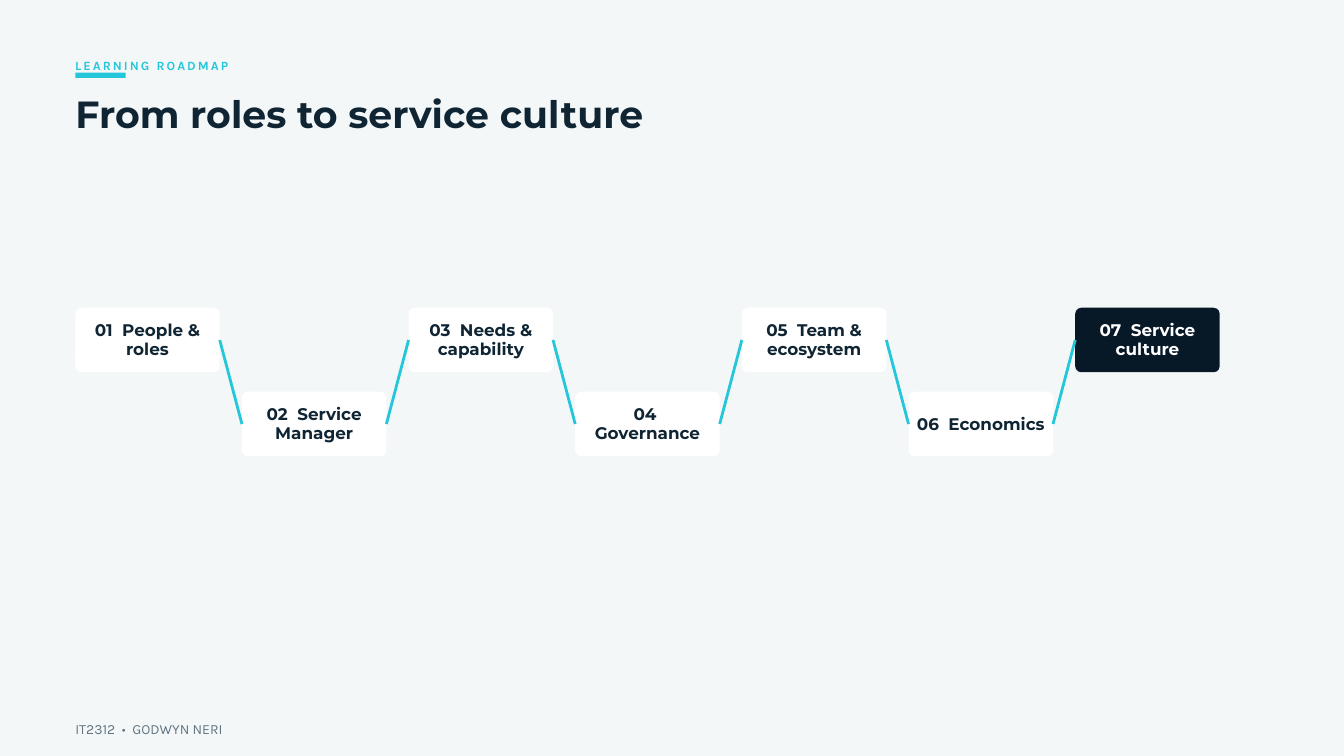
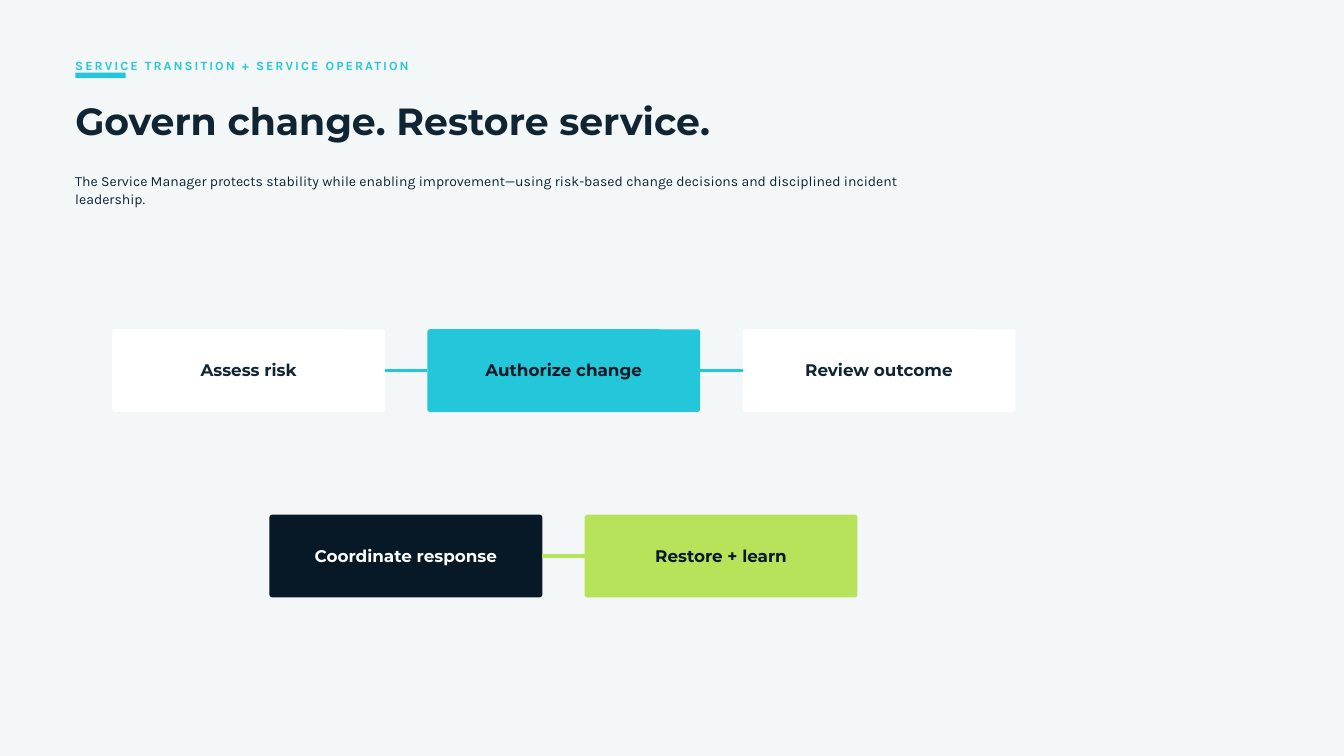
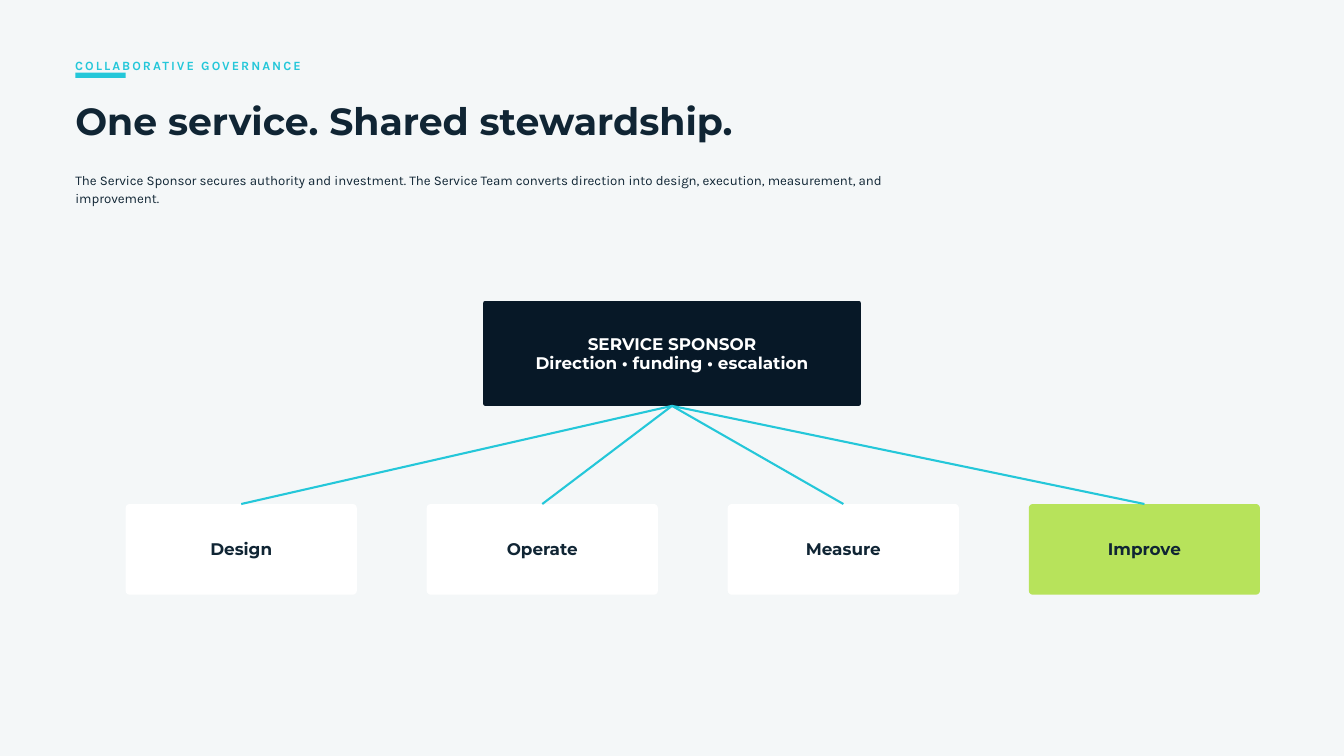
from dataclasses import dataclass
from itertools import pairwise

from lxml.etree import SubElement
from pptx import Presentation
from pptx.dml.color import RGBColor
from pptx.enum.shapes import MSO_CONNECTOR, MSO_SHAPE
from pptx.enum.text import MSO_ANCHOR, MSO_AUTO_SIZE, PP_ALIGN
from pptx.oxml.ns import qn
from pptx.util import Inches, Pt

TOP, LEFT, BOTTOM, RIGHT = range(4)


@dataclass(frozen=True)
class Theme:
    paper: str = "F4F7F8"
    white: str = "FFFFFF"
    ink: str = "102534"
    navy: str = "071827"
    cyan: str = "24C7D9"
    lime: str = "B7E35B"
    muted: str = "607581"
    heading: str = "Montserrat"
    body: str = "Karla"
    title_size: float = 40.5
    card_size: float = 18
    lead_size: float = 15
    small_lead_size: float = 14.2
    eyebrow_size: float = 13.5
    margin: float = 1.12


class Deck:
    def __init__(self, theme):
        self.theme = theme
        self.prs = Presentation()
        self.prs.slide_width = Inches(20)
        self.prs.slide_height = Inches(11.25)
        self.paint(self.prs.slide_master.background, theme.paper)
        self.slide = None

    def paint(self, target, color):
        target.fill.solid()
        target.fill.fore_color.rgb = RGBColor.from_string(color)

    def set_text(self, frame, text, font, size, color, spacing, bold=False,
                 align=PP_ALIGN.LEFT, anchor=MSO_ANCHOR.TOP, inset=0, tracking=None):
        frame.text = text
        frame.word_wrap = True
        frame.auto_size = MSO_AUTO_SIZE.NONE
        frame.vertical_anchor = anchor
        frame.margin_left = frame.margin_right = Inches(inset)
        frame.margin_top = frame.margin_bottom = Inches(inset)
        for paragraph in frame.paragraphs:
            paragraph.alignment = align
            paragraph.line_spacing = Pt(spacing)
            for run in paragraph.runs:
                run.font.name = font
                run.font.size = Pt(size)
                run.font.bold = bold
                run.font.color.rgb = RGBColor.from_string(color)
                if tracking:
                    run.font._element.set("spc", str(int(tracking * 100)))

    def label(self, text, top, width, height, size, color, spacing, **style):
        box = self.slide.shapes.add_textbox(
            Inches(self.theme.margin), Inches(top), Inches(width), Inches(height))
        self.set_text(box.text_frame, text, self.theme.body, size, color, spacing, **style)

    def block(self, preset, left, top, width, height, color):
        shape = self.slide.shapes.add_shape(
            preset, Inches(left), Inches(top), Inches(width), Inches(height))
        shape.shadow.inherit = False
        self.paint(shape, color)
        shape.line.fill.background()
        return shape

    def start(self, eyebrow, title, title_top=1.52):
        theme = self.theme
        self.slide = self.prs.slides.add_slide(self.prs.slide_layouts[5])
        heading = self.slide.shapes.title
        heading.left, heading.top = Inches(theme.margin), Inches(title_top)
        heading.width, heading.height = Inches(12.5), Inches(0.61)
        self.set_text(heading.text_frame, title, theme.heading, theme.title_size,
                      theme.ink, 43.7, bold=True)
        self.block(MSO_SHAPE.RECTANGLE, theme.margin, 1.08, 0.75, 0.08, theme.cyan)
        self.label(eyebrow, 0.82, 8.33, 0.25, theme.eyebrow_size, theme.cyan, 18.9,
                   bold=True, tracking=2.2)

    def lead(self, text, width, size, spacing):
        self.label(text, 2.53, width, 0.56, size, self.theme.ink, spacing)

    def footer(self, text):
        self.label(text, 10.7, 5.21, 0.26, self.theme.lead_size, self.theme.muted, 19.5)

    def card(self, text, left, top, width, height, radius, color, text_color):
        card = self.block(MSO_SHAPE.ROUNDED_RECTANGLE, left, top, width, height, color)
        card.adjustments[0] = radius / min(width, height)
        self.set_text(card.text_frame, text, self.theme.heading, self.theme.card_size,
                      text_color, 20.7, bold=True, align=PP_ALIGN.CENTER,
                      anchor=MSO_ANCHOR.MIDDLE, inset=0.06)
        return card

    def link(self, source, source_side, target, target_side, color, weight):
        link = self.slide.shapes.add_connector(MSO_CONNECTOR.STRAIGHT, 0, 0, 0, 0)
        link.begin_connect(source, source_side)
        link.end_connect(target, target_side)
        link.line.color.rgb = RGBColor.from_string(color)
        link.line.width = Pt(weight)
        SubElement(link._element.spPr, qn("a:effectLst"))

    def chain(self, cards, color, weight):
        for source, target in pairwise(cards):
            self.link(source, RIGHT, target, LEFT, color, weight)


def roadmap(deck):
    theme = deck.theme
    deck.start("LEARNING ROADMAP", "From roles to service culture", 1.42)
    topics = ["People & roles", "Service Manager", "Needs & capability", "Governance",
              "Team & ecosystem", "Economics", "Service culture"]
    steps = []
    for index, topic in enumerate(topics):
        is_goal = index == len(topics) - 1
        steps.append(deck.card(
            f"{index + 1:02}  {topic}", theme.margin + 2.48 * index,
            4.58 + 1.25 * (index % 2), 2.15, 0.96, 0.09,
            theme.navy if is_goal else theme.white,
            theme.white if is_goal else theme.ink))
    deck.chain(steps, theme.cyan, 3)
    deck.footer("IT2312  •  GODWYN NERI")


def change_and_restore(deck):
    theme = deck.theme
    deck.start("SERVICE TRANSITION + SERVICE OPERATION", "Govern change. Restore service.")
    deck.lead("The Service Manager protects stability while enabling improvement—using "
              "risk-based change decisions and disciplined incident leadership.",
              12.5, theme.lead_size, 20.2)
    change = [("Assess risk", theme.white, theme.ink),
              ("Authorize change", theme.cyan, theme.navy),
              ("Review outcome", theme.white, theme.ink)]
    incident = [("Coordinate response", theme.navy, theme.white),
                ("Restore + learn", theme.lime, theme.navy)]
    for stages, left, top, color in ((change, 1.67, 4.9, theme.cyan),
                                     (incident, 4.01, 7.66, theme.lime)):
        cards = [deck.card(text, left + 4.69 * index, top, 4.06, 1.23, 0.04, fill, ink)
                 for index, (text, fill, ink) in enumerate(stages)]
        deck.chain(cards, color, 3.75)


def stewardship(deck):
    theme = deck.theme
    deck.start("COLLABORATIVE GOVERNANCE", "One service. Shared stewardship.")
    deck.lead("The Service Sponsor secures authority and investment. The Service Team "
              "converts direction into design, execution, measurement, and improvement.",
              12.71, theme.small_lead_size, 19.2)
    sponsor = deck.card("SERVICE SPONSOR\nDirection • funding • escalation",
                        7.19, 4.48, 5.62, 1.56, 0.03, theme.navy, theme.white)
    for index, duty in enumerate(["Design", "Operate", "Measure", "Improve"]):
        color = theme.lime if duty == "Improve" else theme.white
        team = deck.card(duty, 1.87 + 4.48 * index, 7.5, 3.44, 1.35, 0.06, color, theme.ink)
        deck.link(sponsor, BOTTOM, team, TOP, theme.cyan, 2.25)


def main():
    deck = Deck(Theme())
    roadmap(deck)
    change_and_restore(deck)
    stewardship(deck)
    deck.prs.save("out.pptx")


if __name__ == "__main__":
    main()
